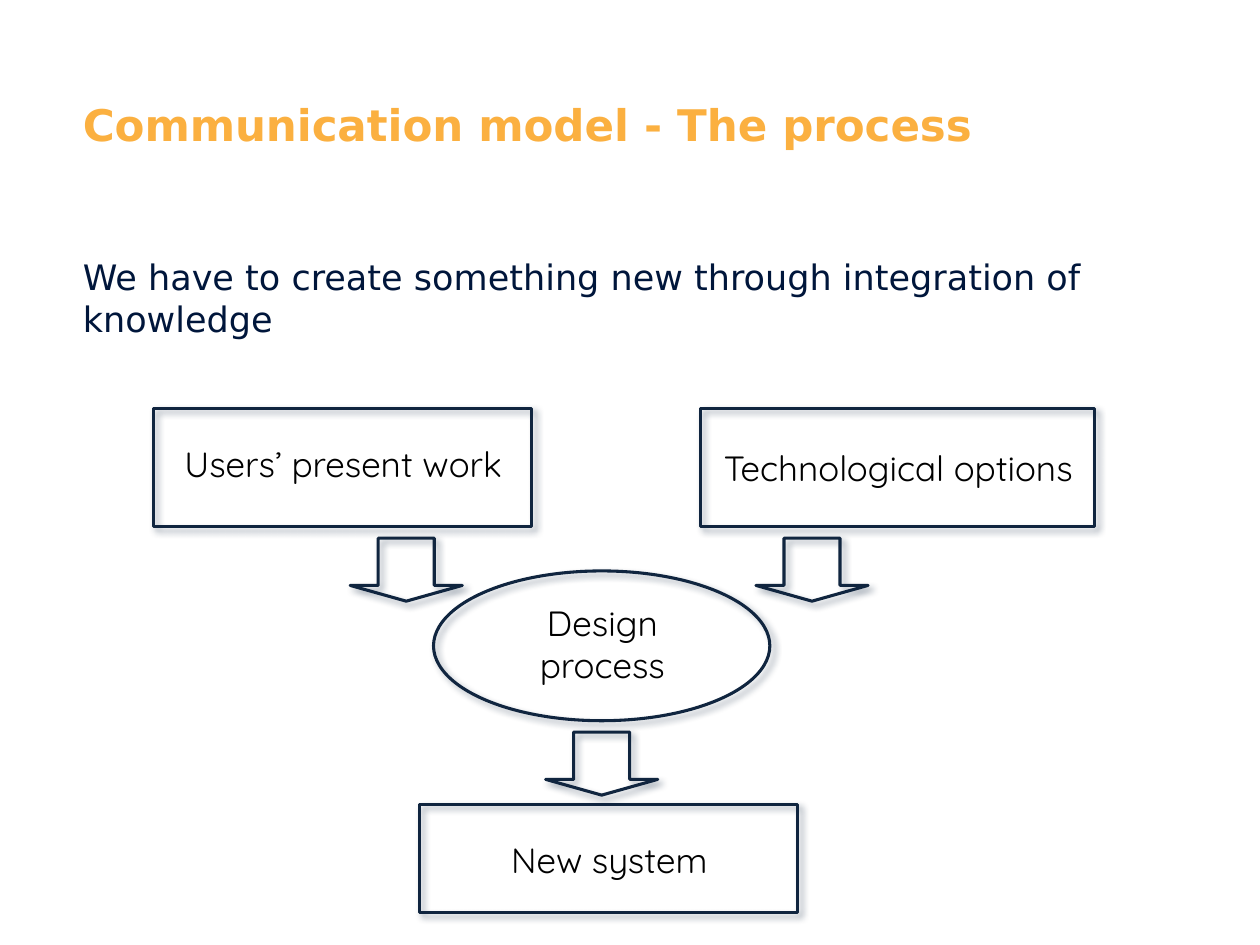
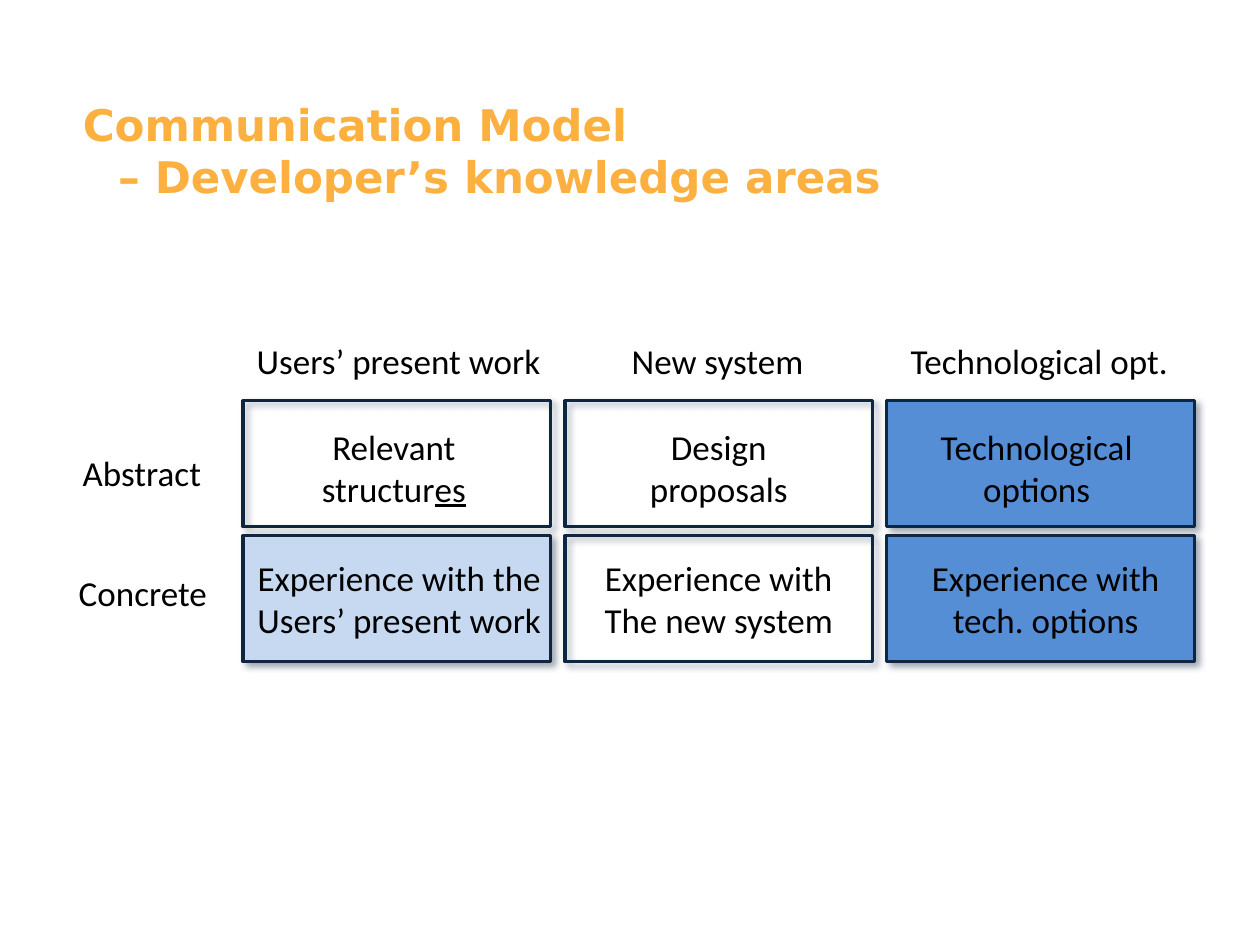
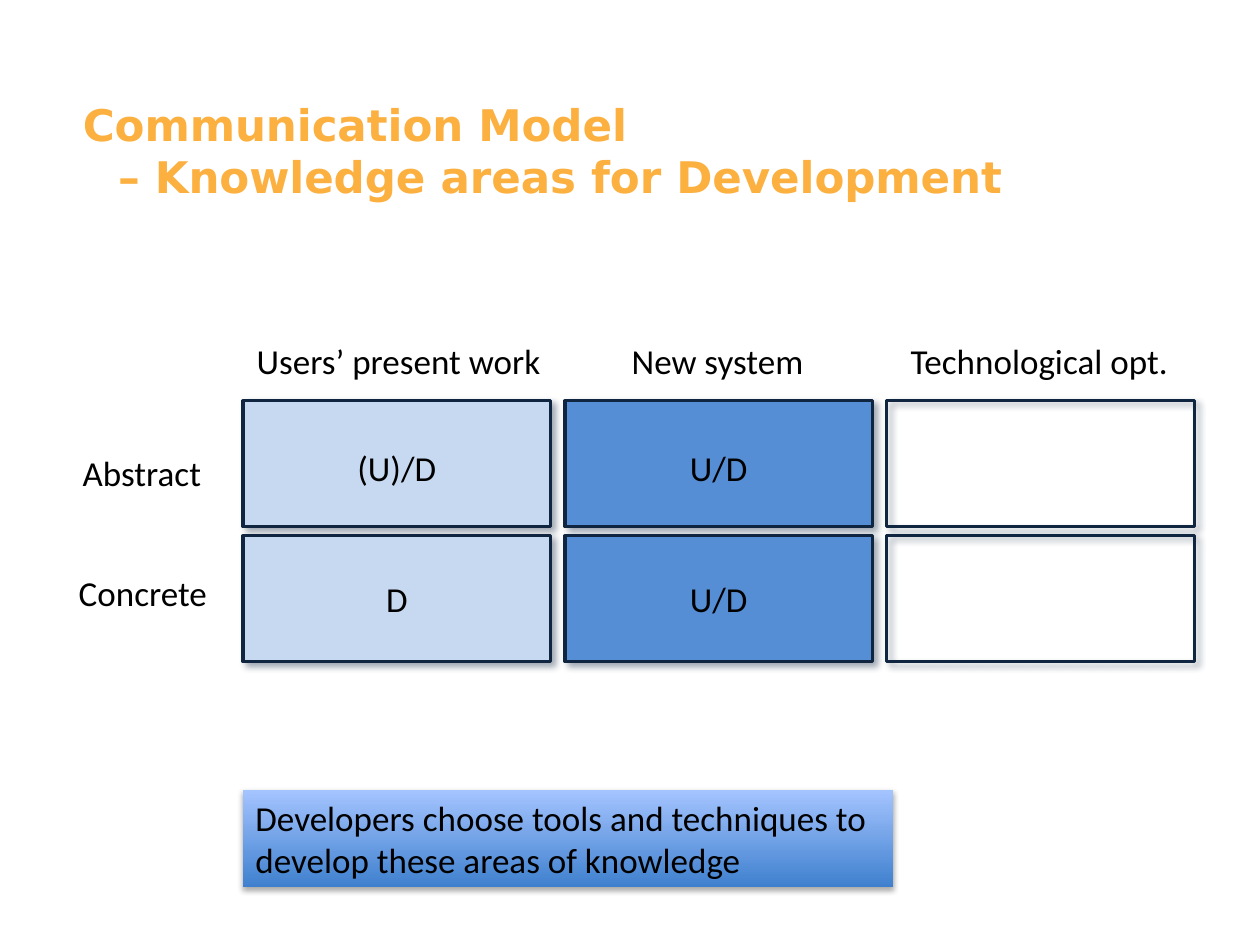
from dataclasses import dataclass
from typing import Optional

from lxml import etree
from pptx import Presentation
from pptx.dml.color import RGBColor
from pptx.enum.shapes import MSO_SHAPE
from pptx.enum.text import MSO_ANCHOR, MSO_AUTO_SIZE, PP_ALIGN
from pptx.oxml.ns import qn
from pptx.shapes.autoshape import Shape
from pptx.slide import Slide
from pptx.text.text import TextFrame
from pptx.util import Cm, Pt

RECTANGLE, ELLIPSE, DOWN_ARROW = MSO_SHAPE.RECTANGLE, MSO_SHAPE.OVAL, MSO_SHAPE.DOWN_ARROW
LEFT, CENTER = PP_ALIGN.LEFT, PP_ALIGN.CENTER
TOP, MIDDLE = MSO_ANCHOR.TOP, MSO_ANCHOR.MIDDLE
FIT_SHAPE, FIXED_SIZE = MSO_AUTO_SIZE.SHAPE_TO_FIT_TEXT, MSO_AUTO_SIZE.NONE


@dataclass(frozen=True)
class TextStyle:
    font: str
    size: float
    color: str
    bold: bool = False


@dataclass(frozen=True)
class Shadow:
    """Blur and distance in points, direction in degrees, opacity in percent."""
    color: str
    opacity: int
    blur: float
    distance: float
    direction: int


@dataclass(frozen=True)
class Theme:
    title: TextStyle = TextStyle("DejaVu Sans", 24.9, "FBB040", True)
    body: TextStyle = TextStyle("DejaVu Sans", 20, "00163B")
    process: TextStyle = TextStyle("Quicksand", 20, "000000")
    matrix: TextStyle = TextStyle("Calibri", 20, "000000")
    outline: str = "10253F"
    outline_width: float = 1.75
    light: str = "C6D9F1"
    strong: str = "558ED5"
    banner_bottom: str = "3F80CE"
    banner_top: str = "A4C4FF"
    outline_shadow: Shadow = Shadow("10253F", 40, 4, 3, 45)
    banner_shadow: Shadow = Shadow("000000", 35, 3.1, 1.8, 90)


THEME = Theme()


@dataclass(frozen=True)
class Box:
    """A rectangular area in centimetres."""
    left: float
    top: float
    width: float
    height: float

    def lengths(self) -> tuple[Cm, Cm, Cm, Cm]:
        return Cm(self.left), Cm(self.top), Cm(self.width), Cm(self.height)


@dataclass(frozen=True)
class Label:
    text: str
    box: Box


@dataclass(frozen=True)
class Cell:
    """A matrix cell; label_shift moves the label's centre from the cell's centre."""
    text: str
    fill: Optional[str] = None
    label_width: float = 6.2
    label_shift: float = 0
    wrap: bool = True


TITLE_BOX = Box(1.42, 1.85, 22.45, 3.18)
TITLE_INDENT = 0.71
BODY_BOX = Box(1.42, 5.03, 22.45, 11.33)

STAGES = [
    (RECTANGLE, Box(3.1, 8.23, 7.62, 2.39)),
    (RECTANGLE, Box(14.12, 8.23, 7.95, 2.39)),
    (ELLIPSE, Box(8.74, 11.51, 6.78, 3.02)),
    (RECTANGLE, Box(8.46, 16.21, 7.62, 2.18)),
]
STAGE_LABELS = [
    Label("Users’ present work", Box(3.4, 8.79, 7.04, 1.12)),
    Label("Technological options", Box(14.07, 8.86, 8.08, 1.12)),
    Label("Design\nprocess", Box(10.57, 11.99, 3.15, 1.98)),
    Label("New system", Box(10.01, 16.76, 4.55, 1.12)),
]
FLOW_ARROWS = [(7.06, 10.85), (15.24, 10.85), (11, 14.76)]

MATRIX_LEFT, MATRIX_TOP = 4.9, 8.08
CELL_WIDTH, CELL_HEIGHT = 6.2, 2.54
COLUMN_PITCH, ROW_PITCH = 6.49, 2.72
CELL_LABEL_CENTERS = (9.42, 12.06)
LABEL_HEIGHTS = {1: 1.12, 2: 1.98}
MATRIX_HEADINGS = [
    Label("Abstract", Box(1.35, 8.97, 3.02, 1.12)),
    Label("Concrete", Box(1.32, 11.38, 3.12, 1.12)),
    Label("Users’ present work", Box(4.9, 6.71, 6.27, 1.12)),
    Label("New system", Box(12.47, 6.71, 3.99, 1.12)),
    Label("Technological opt.", Box(18.08, 6.71, 5.74, 1.12)),
]
DEVELOPER_KNOWLEDGE = [
    [
        Cell("Relevant\nstructur_es_", None, 3.43, -0.06, False),
        Cell("Design\nproposals"),
        Cell("Technological\noptions", THEME.strong, 4.42, -0.08, False),
    ],
    [
        Cell("Experience with the\nUsers’ present work", THEME.light, 6.5, 0.05),
        Cell("Experience with\nThe new system"),
        Cell("Experience with tech. options", THEME.strong, 5.99, 0.1),
    ],
]
DEVELOPMENT_KNOWLEDGE = [
    [Cell("(U)/D", THEME.light), Cell("U/D", THEME.strong), Cell("")],
    [Cell("D", THEME.light), Cell("U/D", THEME.strong), Cell("")],
]
BANNER_BOX = Box(4.9, 15.93, 13.11, 1.96)


def rgb(color: str) -> RGBColor:
    return RGBColor.from_string(color)


def write(frame: TextFrame, text: str, style: TextStyle, align: PP_ALIGN = LEFT,
          anchor: MSO_ANCHOR = TOP, wrap: bool = False,
          fit: MSO_AUTO_SIZE = FIT_SHAPE) -> None:
    """Write one paragraph per line; parts between underscores are underlined."""
    frame_format = {"word_wrap": wrap, "vertical_anchor": anchor, "auto_size": fit}
    for attribute, value in frame_format.items():
        setattr(frame, attribute, value)
    font_format = {"name": style.font, "size": Pt(style.size), "bold": style.bold}
    for number, line in enumerate(text.split("\n")):
        paragraph = frame.add_paragraph() if number else frame.paragraphs[0]
        paragraph.alignment = align
        for index, part in enumerate(line.split("_")):
            if not part:
                continue
            for position, piece in enumerate(part.split("\v")):
                if position:
                    paragraph.add_line_break()
                run = paragraph.add_run()
                run.text = piece
                for attribute, value in font_format.items():
                    setattr(run.font, attribute, value)
                run.font.color.rgb = rgb(style.color)
                if index % 2:
                    run.font.underline = True


def add_title(slide: Slide, text: str) -> None:
    frame = slide.shapes.add_textbox(*TITLE_BOX.lengths()).text_frame
    write(frame, text, THEME.title, wrap=True, fit=FIXED_SIZE)
    hanging = frame.paragraphs[0]._p.get_or_add_pPr()
    hanging.set("marL", str(Cm(TITLE_INDENT)))
    hanging.set("indent", str(-Cm(TITLE_INDENT)))


def add_label(slide: Slide, label: Label, style: TextStyle, wrap: bool = False) -> None:
    frame = slide.shapes.add_textbox(*label.box.lengths()).text_frame
    write(frame, label.text, style, CENTER, MIDDLE, wrap)


def cast_shadow(shape: Shape, shadow: Shadow) -> None:
    shape.shadow.inherit = False
    effects = shape.element.spPr.find(qn("a:effectLst"))
    outer = etree.SubElement(effects, qn("a:outerShdw"), {
        "blurRad": str(Pt(shadow.blur)),
        "dist": str(Pt(shadow.distance)),
        "dir": str(shadow.direction * 60000),
        "algn": "ctr",
        "rotWithShape": "0",
    })
    color = etree.SubElement(outer, qn("a:srgbClr"), val=shadow.color)
    etree.SubElement(color, qn("a:alpha"), val=str(shadow.opacity * 1000))


def add_outlined(slide: Slide, kind: MSO_SHAPE, box: Box,
                 fill: Optional[str] = None) -> Shape:
    shape = slide.shapes.add_shape(kind, *box.lengths())
    if fill:
        shape.fill.solid()
        shape.fill.fore_color.rgb = rgb(fill)
    else:
        shape.fill.background()
    shape.line.color.rgb = rgb(THEME.outline)
    shape.line.width = Pt(THEME.outline_width)
    cast_shadow(shape, THEME.outline_shadow)
    return shape


def add_matrix(slide: Slide, rows: list[list[Cell]], label_lines: int) -> None:
    """Draw the cells first, then the headings and the cell labels."""
    labels = []
    label_height = LABEL_HEIGHTS[label_lines]
    for row, (cells, label_center) in enumerate(zip(rows, CELL_LABEL_CENTERS)):
        for column, cell in enumerate(cells):
            box = Box(MATRIX_LEFT + column * COLUMN_PITCH, MATRIX_TOP + row * ROW_PITCH,
                      CELL_WIDTH, CELL_HEIGHT)
            add_outlined(slide, RECTANGLE, box, cell.fill)
            if cell.text:
                left = box.left + (CELL_WIDTH - cell.label_width) / 2 + cell.label_shift
                label_box = Box(left, label_center - label_height / 2,
                                cell.label_width, label_height)
                labels.append((Label(cell.text, label_box), cell.wrap))
    for heading in MATRIX_HEADINGS:
        add_label(slide, heading, THEME.matrix)
    for label, wrap in labels:
        add_label(slide, label, THEME.matrix, wrap)


def add_banner(slide: Slide, text: str) -> None:
    banner = slide.shapes.add_shape(RECTANGLE, *BANNER_BOX.lengths())
    banner.fill.gradient()
    banner.fill.gradient_angle = 90
    for stop, color in zip(banner.fill.gradient_stops,
                           (THEME.banner_bottom, THEME.banner_top)):
        stop.color.rgb = rgb(color)
    banner.line.fill.background()
    cast_shadow(banner, THEME.banner_shadow)
    write(banner.text_frame, text, THEME.matrix)


def build_process(slide: Slide) -> None:
    add_title(slide, "Communication model - The process")
    body = slide.shapes.add_textbox(*BODY_BOX.lengths())
    write(body.text_frame, "We have to create something new through integration of knowledge",
          THEME.body, wrap=True, fit=FIXED_SIZE)
    for kind, box in STAGES:
        add_outlined(slide, kind, box)
    for label in STAGE_LABELS:
        add_label(slide, label, THEME.process)
    for left, top in FLOW_ARROWS:
        arrow = add_outlined(slide, DOWN_ARROW, Box(left, top, 2.26, 1.27))
        arrow.adjustments[0] = 0.5
        arrow.adjustments[1] = 0.25


def build_developer_knowledge(slide: Slide) -> None:
    add_title(slide, "Communication Model\v– Developer’s knowledge areas")
    add_matrix(slide, DEVELOPER_KNOWLEDGE, label_lines=2)


def build_development_knowledge(slide: Slide) -> None:
    add_title(slide, "Communication Model\v– Knowledge areas for Development")
    add_matrix(slide, DEVELOPMENT_KNOWLEDGE, label_lines=1)
    add_banner(slide, "Developers choose tools and techniques to\n"
                      "develop these areas of knowledge")


def main() -> None:
    deck = Presentation()
    deck.slide_width, deck.slide_height = Cm(25.4), Cm(19.05)
    blank = deck.slide_layouts[6]
    for build in (build_process, build_developer_knowledge, build_development_knowledge):
        build(deck.slides.add_slide(blank))
    deck.save("out.pptx")


if __name__ == "__main__":
    main()
